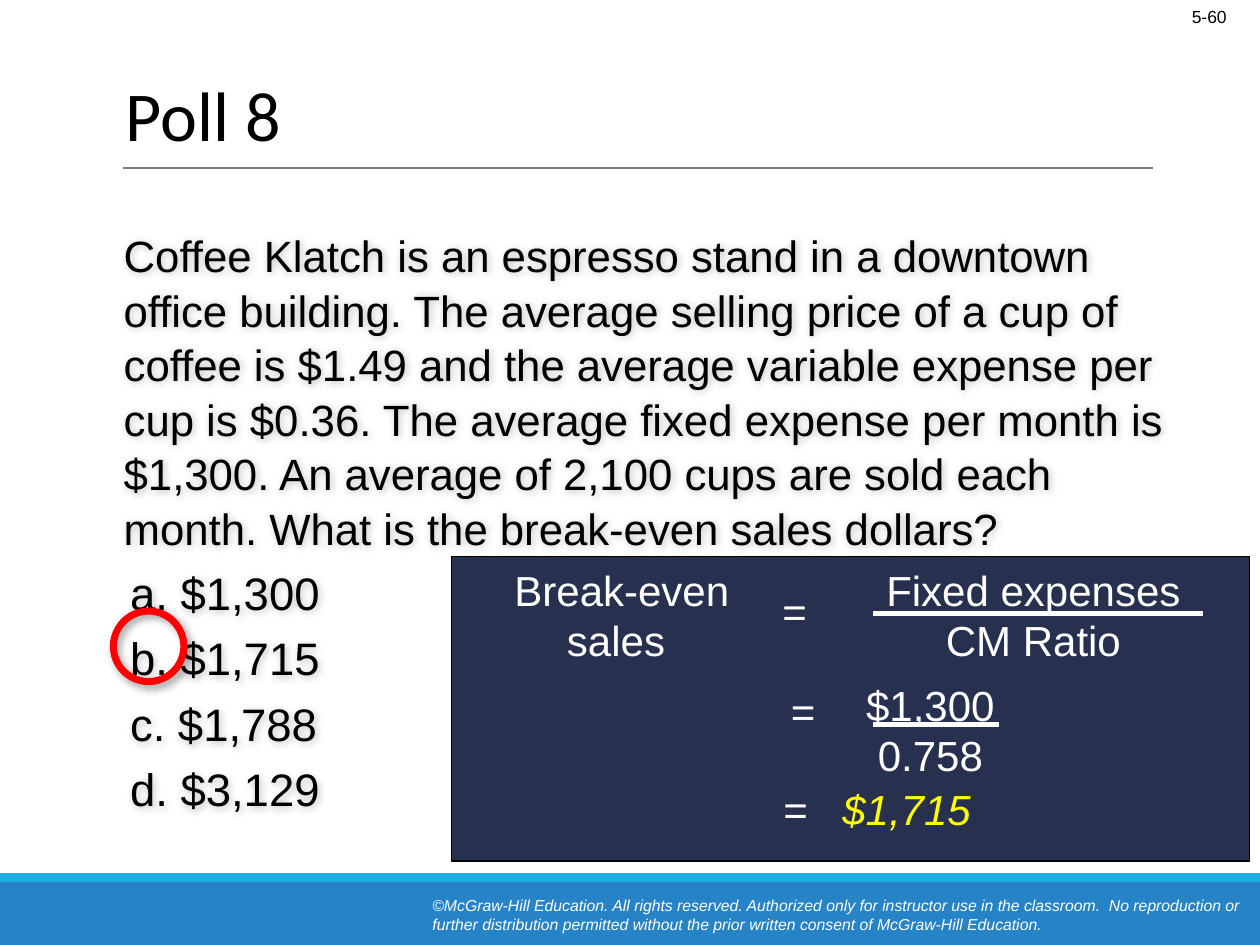
from dataclasses import dataclass
from typing import Optional

from lxml import etree
from pptx import Presentation
from pptx import util as u
from pptx.dml.color import RGBColor
from pptx.enum import shapes, text
from pptx.oxml.ns import qn

Pt = u.Pt
BLACK, WHITE, NAVY, RED, YELLOW = "000000", "FFFFFF", "27304E", "FF0000", "FFFF00"
LEFT, CENTER, RIGHT = (text.PP_ALIGN.LEFT, text.PP_ALIGN.CENTER, text.PP_ALIGN.RIGHT)
RECTANGLE = shapes.MSO_SHAPE.RECTANGLE
OVAL = shapes.MSO_SHAPE.OVAL

QUESTION = (
    "Coffee Klatch is an espresso stand in a downtown office building. "
    "The average selling price of a cup of coffee is $1.49 and the average "
    "variable expense per cup is $0.36. The average fixed expense per month "
    "is $1,300. An average of 2,100 cups are sold each month. "
    "What is the break-even sales dollars?"
)
ANSWERS = ("a. $1,300", "b. $1,715", "c. $1,788", "d. $3,129")
COPYRIGHT = (
    "©McGraw-Hill Education. All rights reserved. Authorized only for instructor "
    "use in the classroom.\u00a0 No reproduction or further distribution permitted "
    "without the prior written consent of McGraw-Hill Education."
)


@dataclass(frozen=True)
class Box:
    left: float
    top: float
    width: float
    height: float

    def lengths(self):
        return [Pt(value) for value in (self.left, self.top, self.width, self.height)]


@dataclass(frozen=True)
class Term:
    """One piece of the formula: its lines and the box that holds them."""
    box: Box
    lines: tuple
    align: text.PP_ALIGN = CENTER


@dataclass(frozen=True)
class Rule:
    left: float
    right: float
    y: float
    color: str
    width: float


TERMS = (
    Term(Box(479.5, 319, 222, 65.5), ("Fixed expenses", "CM Ratio")),
    Term(Box(270.7, 319, 169.2, 65.5), ("Break-even\vsales ",)),
    Term(Box(453.6, 384.5, 156.2, 65.5), ("$1,300", "0.758")),
    Term(Box(440.6, 388, 32.4, 36), ("=",), RIGHT),
    Term(Box(440, 331.2, 31, 36), ("=",), LEFT),
)
RESULT = Box(440.6, 444.2, 149.8, 36)
FRACTION_BARS = (Rule(499, 687.6, 350.6, WHITE, 3), Rule(499, 571, 414, WHITE, 3))


def rgb(color: str) -> RGBColor:
    return RGBColor.from_string(color)


def apply_format(target, values: dict) -> None:
    for name, value in values.items():
        setattr(target, name, value)


def add_run(paragraph, words: str, size: float, color: str, **font) -> None:
    paragraph.add_run().text = words
    run = paragraph.runs[-1]
    apply_format(run.font, {"name": "Arial", "size": Pt(size), **font})
    run.font.color.rgb = rgb(color)


def add_lines(frame, lines, size: float, color: str, layout: dict, **font) -> None:
    for index, line in enumerate(lines):
        paragraph = frame.paragraphs[0] if index == 0 else frame.add_paragraph()
        apply_format(paragraph, layout)
        for part_index, part in enumerate(line.split("\v")):
            if part_index:
                paragraph.add_line_break()
            add_run(paragraph, part, size, color, **font)


def add_text_box(parent, box: Box, anchor=text.MSO_ANCHOR.TOP):
    shape = parent.add_textbox(*box.lengths())
    apply_format(shape.text_frame, {"word_wrap": True, "vertical_anchor": anchor})
    return shape


def add_plain_shape(parent, kind, box: Box, fill: Optional[str] = None,
                    line: Optional[str] = None, line_width: float = 0.75):
    shape = parent.add_shape(kind, *box.lengths())
    shape.shadow.inherit = False
    if fill:
        shape.fill.solid()
        shape.fill.fore_color.rgb = rgb(fill)
    else:
        shape.fill.background()
    if line:
        shape.line.color.rgb = rgb(line)
        shape.line.width = Pt(line_width)
    else:
        shape.line.fill.background()
    return shape


def add_rule(parent, rule: Rule) -> None:
    connector = parent.add_connector(
        shapes.MSO_CONNECTOR.STRAIGHT,
        Pt(rule.left), Pt(rule.y), Pt(rule.right), Pt(rule.y))
    connector.line.color.rgb = rgb(rule.color)
    connector.line.width = Pt(rule.width)
    etree.SubElement(connector._element.spPr, qn("a:effectLst"))


def add_shadow(shape, blur: float, distance: float, opacity: int) -> None:
    shape.shadow.inherit = False
    effects = shape._element.spPr.find(qn("a:effectLst"))
    shadow = etree.SubElement(
        effects, qn("a:outerShdw"), blurRad=str(Pt(blur)), dist=str(Pt(distance)),
        dir=str(45 * 60000), algn="tl", rotWithShape="0")
    color = etree.SubElement(shadow, qn("a:srgbClr"), val=BLACK)
    etree.SubElement(color, qn("a:alpha"), val=str(opacity * 1000))


def set_indent(paragraph, left: float) -> None:
    properties = paragraph._p.get_or_add_pPr()
    properties.set("marL", str(Pt(left)))
    properties.set("indent", "0")


def add_tab_stop(paragraph, position: float) -> None:
    tabs = etree.SubElement(paragraph._p.get_or_add_pPr(), qn("a:tabLst"))
    etree.SubElement(tabs, qn("a:tab"), pos=str(Pt(position)), algn="l")


def add_frame(parent) -> None:
    """Footer bands, title rule, page number and copyright line."""
    add_plain_shape(parent, RECTANGLE, Box(0, 504, 720, 36), "2683C6")
    add_plain_shape(parent, RECTANGLE, Box(0, 499, 720, 5), "1CADE4")
    add_rule(parent, Rule(70.5, 659, 96, "7F7F7F", 0.75))
    number = add_text_box(parent, Box(612, 0, 96, 19.5))
    add_lines(number.text_frame, ["5-60"], 10, BLACK, {"alignment": RIGHT})
    notice = add_text_box(parent, Box(240, 508.3, 480, 29))
    add_lines(notice.text_frame, [COPYRIGHT], 9, WHITE, {}, italic=True)


def add_question(parent) -> None:
    body = add_text_box(parent, Box(24, 126, 653.8, 360))
    frame = body.text_frame
    add_lines(frame, [QUESTION], 25, BLACK, {"line_spacing": 1.04})
    set_indent(frame.paragraphs[0], 39.6)
    for answer in ANSWERS:
        paragraph = frame.add_paragraph()
        set_indent(paragraph, 43.2)
        apply_format(paragraph, {"line_spacing": 1.04, "space_before": Pt(5)})
        add_run(paragraph, answer, 26, BLACK)
    add_shadow(body, 4, 2, 25)


def add_formula(parent) -> None:
    group = parent.add_group_shape().shapes
    add_plain_shape(group, RECTANGLE, Box(258, 318, 456, 174), NAVY, BLACK)
    for term in TERMS:
        shape = add_plain_shape(group, RECTANGLE, term.box, NAVY)
        apply_format(shape.text_frame,
                     {"word_wrap": True, "vertical_anchor": text.MSO_ANCHOR.TOP})
        add_lines(shape.text_frame, term.lines, 24, WHITE, {"alignment": term.align})
    result = add_plain_shape(group, RECTANGLE, RESULT, NAVY)
    result.text_frame.vertical_anchor = text.MSO_ANCHOR.TOP
    paragraph = result.text_frame.paragraphs[0]
    paragraph.alignment = LEFT
    add_tab_stop(paragraph, 33.7)
    add_run(paragraph, "=\t", 24, WHITE)
    add_run(paragraph, "$1,715", 24, YELLOW, italic=True)
    for bar in FRACTION_BARS:
        add_rule(group, bar)


def main() -> None:
    presentation = Presentation()
    apply_format(presentation, {"slide_width": Pt(720), "slide_height": Pt(540)})
    slide = presentation.slides.add_slide(presentation.slide_layouts[6])
    add_frame(slide.shapes)
    add_question(slide.shapes)
    title = add_text_box(slide.shapes, Box(64.8, 12.2, 594, 80.6), text.MSO_ANCHOR.BOTTOM)
    add_lines(title.text_frame, ["Poll 8"], 40, BLACK, {"line_spacing": 0.85}, name="Calibri")
    circle = add_plain_shape(slide.shapes, OVAL, Box(64.8, 349.2, 40.3, 40.3), None, RED, 4)
    add_shadow(circle, 5, 3, 39)
    add_formula(slide.shapes)
    presentation.save("out.pptx")


if __name__ == "__main__":
    main()
